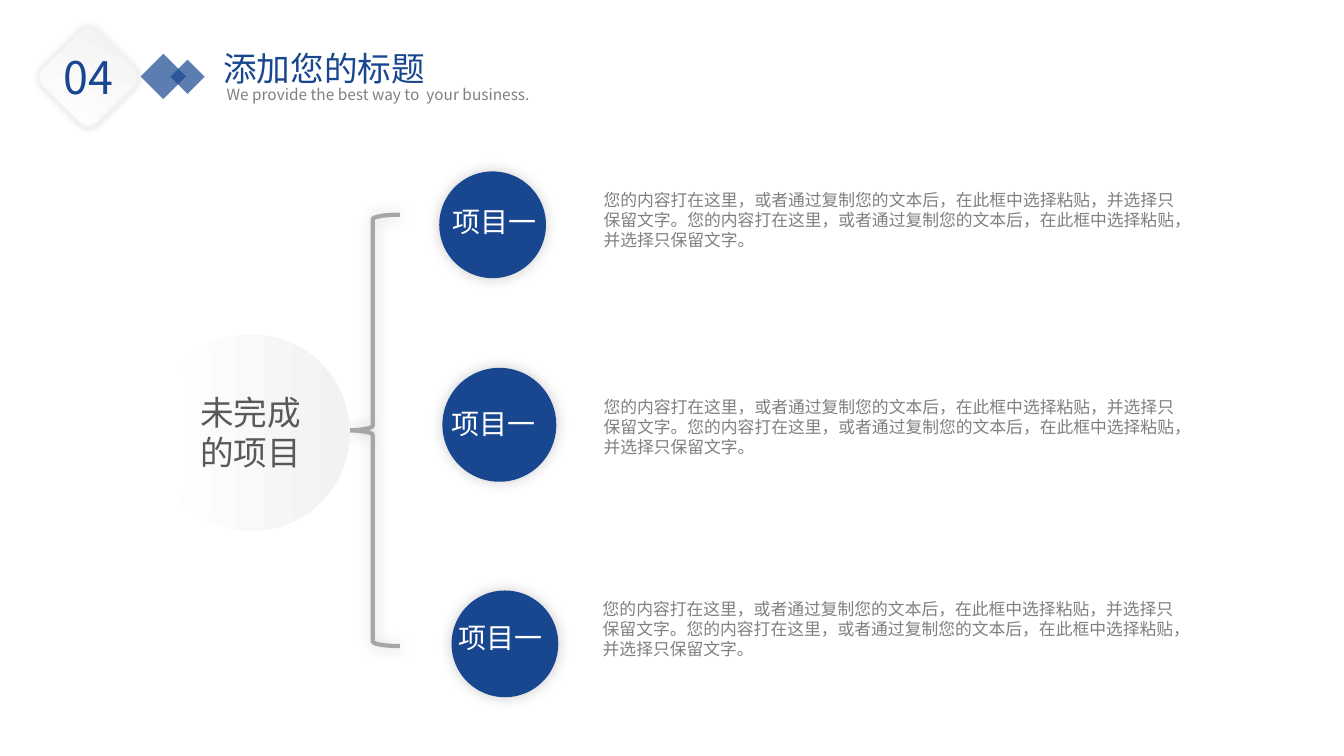
from lxml.etree import SubElement
from pptx import Presentation
from pptx.dml.color import RGBColor
from pptx.enum.shapes import MSO_SHAPE as Shape
from pptx.enum.text import MSO_ANCHOR as Anchor, MSO_AUTO_SIZE as AutoSize, PP_ALIGN as Align
from pptx.oxml.ns import qn
from pptx.util import Cm, Pt

FONT = "Noto Sans CJK SC"
BLUE, WHITE, PALE = "18478F", "FFFFFF", "F2F2F2"
GRAY, DARK, BRACE = "808080", "595959", "A6A6A6"
SENTENCE = "您的内容打在这里，或者通过复制您的文本后，在此框中选择粘贴，并选择只保留文字。"
# circle (left, top, size), label (left, top), description (left, top)
PROJECTS = [
    ((11.07, 4.32, 2.69), (11.15, 5.03), (14.96, 4.65)),
    ((11.15, 9.27, 2.87), (11.13, 10.13), (14.96, 9.86)),
    ((11.38, 14.88, 2.69), (11.3, 15.52), (14.94, 14.96)),
]


def rgb(color):
    """Turn a hex string into a colour."""
    return RGBColor.from_string(color)


def add_figure(slide, kind, left, top, width, height, rotation=0):
    """Add a preset shape without fill, line or shadow."""
    figure = slide.shapes.add_shape(kind, Cm(left), Cm(top), Cm(width), Cm(height))
    figure.rotation = rotation
    figure.shadow.inherit = False
    figure.fill.background()
    figure.line.fill.background()
    return figure


def fill_solid(figure, color, opacity=100):
    """Fill a shape with one colour."""
    figure.fill.solid()
    figure.fill.fore_color.rgb = rgb(color)
    if opacity < 100:
        tint = figure._element.spPr.find(qn("a:solidFill"))[0]
        SubElement(tint, qn("a:alpha"), val=str(opacity * 1000))


def fill_fade(figure, angle=0):
    """Fill a shape with the white to pale gray gradient."""
    figure.fill.gradient()
    figure.fill.gradient_angle = angle
    for stop, color, position in zip(figure.fill.gradient_stops, (WHITE, PALE), (0, 1)):
        stop.color.rgb = rgb(color)
        stop.position = position


def set_outline(figure, color, width):
    """Draw the outline of a shape."""
    figure.line.color.rgb = rgb(color)
    figure.line.width = Pt(width)


def cast_shadow(figure, opacity, blur, direction=0):
    """Give a shape a soft black shadow."""
    effects = figure._element.spPr.find(qn("a:effectLst"))
    shadow = SubElement(effects, qn("a:outerShdw"), blurRad=str(Pt(blur)), dist="0",
                        dir=str(direction * 60000), algn="ctr", rotWithShape="0")
    black = SubElement(shadow, qn("a:srgbClr"), val="000000")
    SubElement(black, qn("a:alpha"), val=str(opacity * 1000))


def write(frame, text, size, color, align=Align.LEFT):
    """Write one paragraph into a text frame."""
    paragraph = frame.paragraphs[0]
    paragraph.text = text
    paragraph.alignment = align
    paragraph.font.size = Pt(size)
    paragraph.font.name = FONT
    paragraph.font.color.rgb = rgb(color)
    defaults = paragraph._p.pPr.find(qn("a:defRPr"))
    SubElement(defaults, qn("a:ea"), typeface=FONT)


def add_text(slide, text, left, top, width, height, size, color, wrap=True):
    """Add a text box that grows with its text."""
    frame = slide.shapes.add_textbox(Cm(left), Cm(top), Cm(width), Cm(height)).text_frame
    frame.word_wrap = wrap
    frame.auto_size = AutoSize.SHAPE_TO_FIT_TEXT
    write(frame, text, size, color)


def add_topic(slide):
    """Draw the brace and the pale disc with the topic."""
    brace = add_figure(slide, Shape.LEFT_BRACE, 8.71, 5.41, 1.37, 10.87)
    set_outline(brace, BRACE, 3)
    cast_shadow(brace, 20, 11, 135)
    ring = add_figure(slide, Shape.DONUT, 3.86, 8.43, 4.95, 4.95)
    ring.adjustments[0] = 0.05
    fill_fade(ring)
    disc = add_figure(slide, Shape.OVAL, 3.96, 8.53, 4.72, 4.72)
    fill_fade(disc)
    disc.text_frame.word_wrap = True
    disc.text_frame.vertical_anchor = Anchor.MIDDLE
    write(disc.text_frame, "未完成的项目", 24, DARK, Align.CENTER)


def add_project(slide, circle, label, description):
    """Draw one project: circle, label and description."""
    left, top, size = circle
    disc = add_figure(slide, Shape.OVAL, left, top, size, size)
    fill_solid(disc, BLUE)
    cast_shadow(disc, 20, 10)
    add_text(slide, "项目一", *label, 3.81, 1.12, 20, WHITE)
    add_text(slide, SENTENCE * 2, *description, 14.99, 2.57, 12, GRAY)


def add_header(slide):
    """Draw the numbered badge, the diamonds and the title."""
    for left, top, size in ((3.71, 1.52, 0.81), (4.42, 1.63, 0.61)):
        diamond = add_figure(slide, Shape.RECTANGLE, left, top, size, size, 225)
        fill_solid(diamond, BLUE, 70)
    add_text(slide, "We provide the best way to  your business.",
             5.46, 2.01, 10.21, 0.74, 11, GRAY)
    add_text(slide, "添加您的标题", 5.38, 1.09, 8.26, 1.27, 24, BLUE)
    badge = add_figure(slide, Shape.ROUNDED_RECTANGLE, 1.24, 0.97, 1.96, 1.96, 45)
    fill_fade(badge, 110)
    set_outline(badge, PALE, 2)
    cast_shadow(badge, 11, 5)
    add_text(slide, "04", 1.35, 1.12, 1.85, 1.63, 32, BLUE, wrap=False)


def main():
    """Build the slide and save it."""
    deck = Presentation()
    deck.slide_width, deck.slide_height = Cm(33.87), Cm(19.05)
    slide = deck.slides.add_slide(deck.slide_layouts[6])
    add_topic(slide)
    for project in PROJECTS:
        add_project(slide, *project)
    add_header(slide)
    deck.save("out.pptx")


if __name__ == "__main__":
    main()
